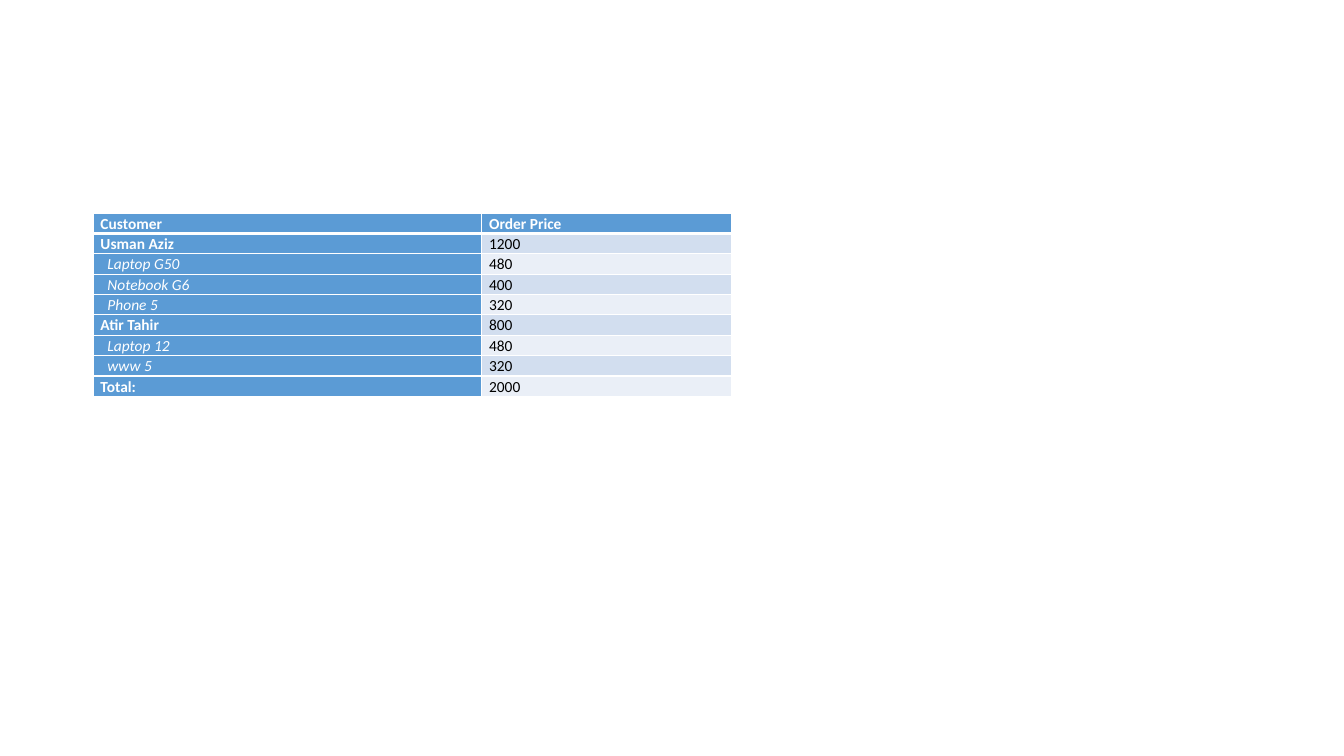
import pptx
import pptx.dml.color
import pptx.enum.text
import pptx.oxml
import pptx.oxml.ns
import pptx.util
from pptx.util import Pt

COLORS = {
    "white": "FFFFFF",
    "black": "000000",
    "blue": "5B9BD5",
    "band_dark": "D2DEEF",
    "band_light": "EAEFF7",
}
SIDES = ("L", "R", "T", "B")
HEADER_RULE = 3
CELL_RULE = 1
PRODUCT_INDENT = 5
ROW_HEIGHT = 14.2

# Customer or product, price, whether the line is a product
orders = [
    ("Usman Aziz", "1200", False),
    ("Laptop G50", "480", True),
    ("Notebook G6", "400", True),
    ("Phone 5", "320", True),
    ("Atir Tahir", "800", False),
    ("Laptop 12", "480", True),
    ("www 5", "320", True),
    ("Total:", "2000", False),
]


def write_cell(cell, text, fill, color="white", bold=False, italic=False, indent=0):
    cell.margin_left = cell.margin_right = Pt(5.4)
    cell.margin_top = cell.margin_bottom = 0
    cell.fill.solid()
    cell.fill.fore_color.rgb = pptx.dml.color.RGBColor.from_string(COLORS[fill])
    paragraph = cell.text_frame.paragraphs[0]
    paragraph.line_spacing = 1.07
    if indent:
        paragraph._p.get_or_add_pPr().set("marL", str(Pt(indent)))
    run = paragraph.add_run()
    run.text = text
    run.font.name = "Calibri"
    run.font.size = Pt(11)
    run.font.bold = bold
    run.font.italic = italic
    run.font.color.rgb = pptx.dml.color.RGBColor.from_string(COLORS[color])


def draw_borders(cell, widths):
    """Give the cell white borders, with widths in points in the order of SIDES."""
    properties = cell._tc.get_or_add_tcPr()
    for position, (side, width) in enumerate(zip(SIDES, widths)):
        border = pptx.oxml.parse_xml(
            f'<a:ln{side} {pptx.oxml.ns.nsdecls("a")} w="{Pt(width)}">'
            f'<a:solidFill><a:srgbClr val="{COLORS["white"]}"/></a:solidFill>'
            f"</a:ln{side}>"
        )
        properties.insert(position, border)


presentation = pptx.Presentation()
presentation.slide_width = Pt(960)
presentation.slide_height = Pt(540)
slide = presentation.slides.add_slide(presentation.slide_layouts[6])

row_count = len(orders) + 1
order_table = slide.shapes.add_table(
    row_count, 2, Pt(66.4), Pt(152.2), Pt(456), Pt(ROW_HEIGHT * row_count)
).table
order_table.columns[0].width = Pt(277.6)
order_table.columns[1].width = Pt(178.4)
for row in order_table.rows:
    row.height = Pt(ROW_HEIGHT)

for column, heading in enumerate(("Customer", "Order Price")):
    write_cell(order_table.cell(0, column), heading, "blue", bold=True)

for row, (item, price, is_product) in enumerate(orders, start=1):
    write_cell(
        order_table.cell(row, 0), item, "blue", bold=not is_product,
        italic=is_product, indent=PRODUCT_INDENT if is_product else 0,
    )
    band = "band_dark" if row % 2 else "band_light"
    write_cell(order_table.cell(row, 1), price, band, color="black")

for row in range(row_count):
    top = HEADER_RULE if row == 1 else CELL_RULE
    bottom = HEADER_RULE if row == 0 else CELL_RULE
    for column in range(2):
        draw_borders(order_table.cell(row, column), (CELL_RULE, CELL_RULE, top, bottom))

presentation.save("out.pptx")
